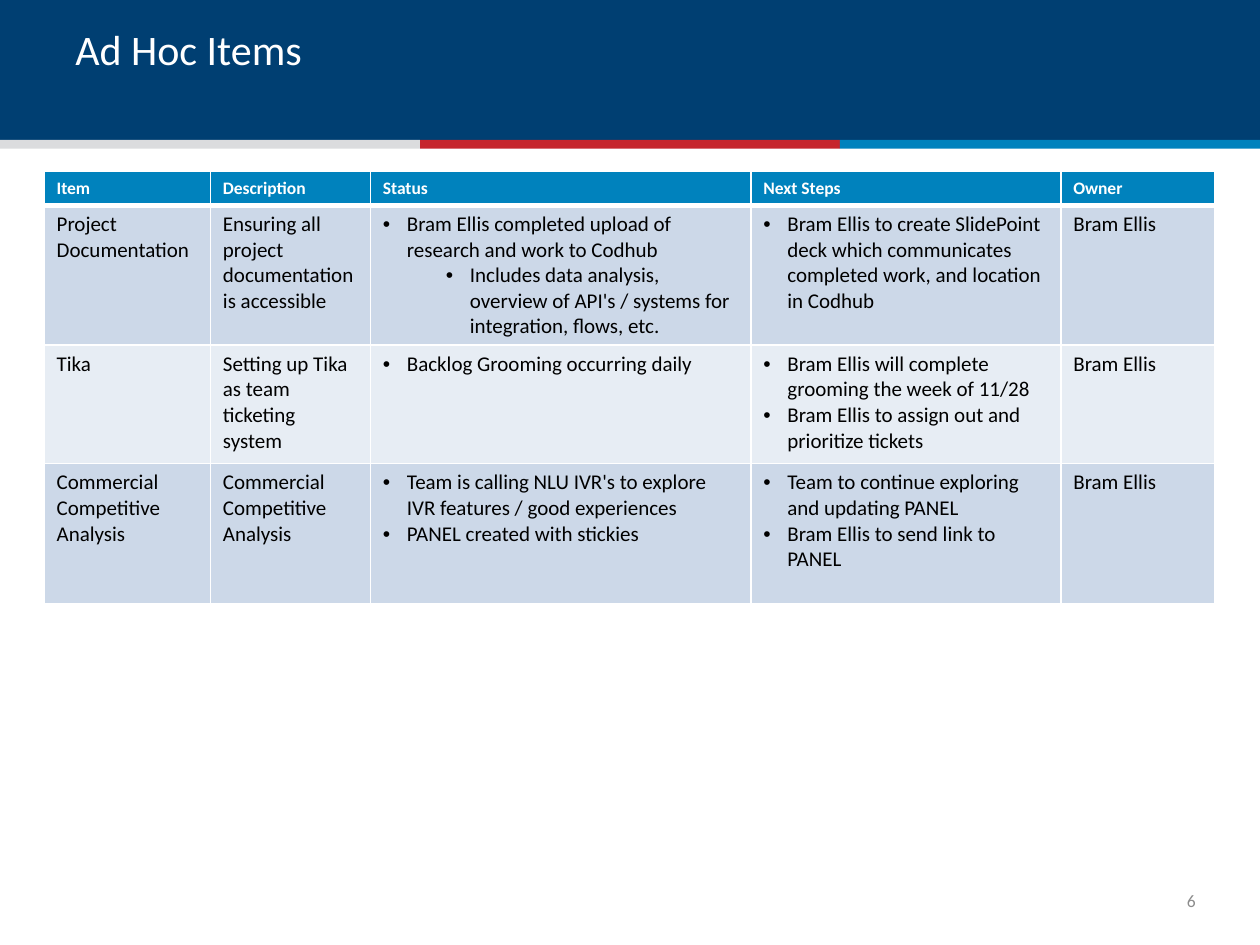
from dataclasses import dataclass

from lxml.etree import SubElement
from pptx import Presentation
from pptx.dml.color import RGBColor
from pptx.enum.shapes import MSO_SHAPE
from pptx.enum.text import MSO_ANCHOR, PP_ALIGN
from pptx.oxml import parse_xml
from pptx.oxml.ns import nsdecls, qn
from pptx.util import Inches, Pt


@dataclass(frozen=True)
class Theme:
    font: str = "Calibri"
    navy: str = "003F72"
    blue: str = "0082BD"
    red: str = "C6262D"
    silver: str = "DBDCDE"
    white: str = "FFFFFF"
    black: str = "000000"
    grey: str = "8C8C8C"
    band_dark: str = "CCD8E8"
    band_light: str = "E7EDF4"
    title_size: int = 24
    body_size: int = 12
    small_size: int = 10


T = Theme()

COLUMN_WIDTHS = [1.32, 1.27, 3.02, 2.46, 1.22]
ROW_HEIGHTS = [0.27, 1.11, 0.94, 1.11]
HEADERS = ["Item", "Description", "Status", "Next Steps", "Owner"]
BULLETED = {"Status", "Next Steps"}
OWNER = "Bram Ellis"

# A cell is a list of paragraphs; a (text, level) pair is an indented paragraph.
ITEMS = [
    [["Project Documentation"],
     ["Ensuring all project documentation is accessible"],
     [f"{OWNER} completed upload of research and work to Codhub",
      ("Includes data analysis, overview of API's / systems for integration, flows, etc.", 1)],
     [f"{OWNER} to create SlidePoint deck which communicates completed work, "
      "and location in Codhub"],
     [OWNER]],
    [["Tika"],
     ["Setting up Tika as team ticketing system"],
     ["Backlog Grooming occurring daily"],
     [f"{OWNER} will complete grooming the week of 11/28",
      f"{OWNER} to assign out and prioritize tickets"],
     [OWNER]],
    [["Commercial Competitive Analysis"],
     ["Commercial", "Competitive", "Analysis"],
     ["Team is calling NLU IVR's to explore IVR features / good experiences",
      "PANEL created with stickies"],
     ["Team to continue exploring and updating PANEL",
      f"{OWNER} to send link to PANEL"],
     [OWNER]],
]


def add_run(p, text, size, color, bold=False):
    r = p.add_run()
    r.text = text
    r.font.name = T.font
    r.font.size = Pt(size)
    r.font.bold = bold
    r.font.color.rgb = RGBColor.from_string(color)


def add_bar(s, left, top, width, height, color):
    sp = s.shapes.add_shape(MSO_SHAPE.RECTANGLE, Inches(left), Inches(top),
                            Inches(width), Inches(height))
    sp.shadow.inherit = False
    sp.fill.solid()
    sp.fill.fore_color.rgb = RGBColor.from_string(color)
    sp.line.fill.background()


def add_text(s, left, top, width, height, text, size, color):
    """Add a one-line text box and return its text frame."""
    sp = s.shapes.add_textbox(Inches(left), Inches(top), Inches(width), Inches(height))
    tf = sp.text_frame
    tf.word_wrap = True
    add_run(tf.paragraphs[0], text, size, color)
    return tf


def add_bullet(p, level):
    pPr = p._p.get_or_add_pPr()
    pPr.set("marL", str(Inches(0.19 + 0.5 * level)))
    pPr.set("indent", str(Inches(-0.19)))
    SubElement(pPr, qn("a:buFont")).set("typeface", "Arial")
    SubElement(pPr, qn("a:buChar")).set("char", "•")


def style_cell(cell, fill, top=1, bottom=1):
    """Fill the cell and give it white borders; top and bottom are in points."""
    cell.fill.solid()
    cell.fill.fore_color.rgb = RGBColor.from_string(fill)
    borders = {"lnL": 1, "lnR": 1, "lnT": top, "lnB": bottom}
    for i, (side, width) in enumerate(borders.items()):
        cell._tc.get_or_add_tcPr().insert(i, parse_xml(
            f'<a:{side} {nsdecls("a")} w="{Pt(width)}"><a:solidFill>'
            f'<a:srgbClr val="{T.white}"/></a:solidFill></a:{side}>'))


def fill_cell(cell, paragraphs, bulleted):
    tf = cell.text_frame
    for i, entry in enumerate(paragraphs):
        text, level = entry if isinstance(entry, tuple) else (entry, 0)
        p = tf.add_paragraph() if i else tf.paragraphs[0]
        p.level = level
        if bulleted:
            add_bullet(p, level)
        add_run(p, text, T.body_size, T.black)


def add_items_table(s):
    table = s.shapes.add_table(
        len(ROW_HEIGHTS), len(COLUMN_WIDTHS), Inches(0.35), Inches(1.36),
        Inches(sum(COLUMN_WIDTHS)), Inches(sum(ROW_HEIGHTS))).table
    for column, width in zip(table.columns, COLUMN_WIDTHS):
        column.width = Inches(width)
    for row, height in zip(table.rows, ROW_HEIGHTS):
        row.height = Inches(height)

    for c, header in enumerate(HEADERS):
        cell = table.cell(0, c)
        style_cell(cell, T.blue, bottom=3)
        add_run(cell.text_frame.paragraphs[0], header, T.small_size, T.white, bold=True)
        for r, item in enumerate(ITEMS, start=1):
            cell = table.cell(r, c)
            style_cell(cell, T.band_dark if r % 2 else T.band_light, top=3 if r == 1 else 1)
            fill_cell(cell, item[c], header in BULLETED)


def add_header(s):
    add_bar(s, 0, 0, 10, 1.14, T.navy)
    stripe = 10 / 3
    for i, color in enumerate([T.silver, T.red, T.blue]):
        add_bar(s, i * stripe, 1.11, stripe, 0.07, color)
    add_text(s, 0.5, 0.14, 9, 0.89, "Ad Hoc Items", T.title_size, T.white)


def add_page_number(s, number):
    tf = add_text(s, 9.22, 6.95, 0.27, 0.4, number, T.small_size, T.grey)
    tf.margin_left = tf.margin_right = tf.margin_top = tf.margin_bottom = 0
    tf.vertical_anchor = MSO_ANCHOR.MIDDLE
    tf.paragraphs[0].alignment = PP_ALIGN.RIGHT


def main():
    prs = Presentation()
    prs.slide_width, prs.slide_height = Inches(10), Inches(7.5)
    s = prs.slides.add_slide(prs.slide_layouts[6])
    add_header(s)
    add_page_number(s, "6")
    add_items_table(s)
    prs.save("out.pptx")


if __name__ == "__main__":
    main()
